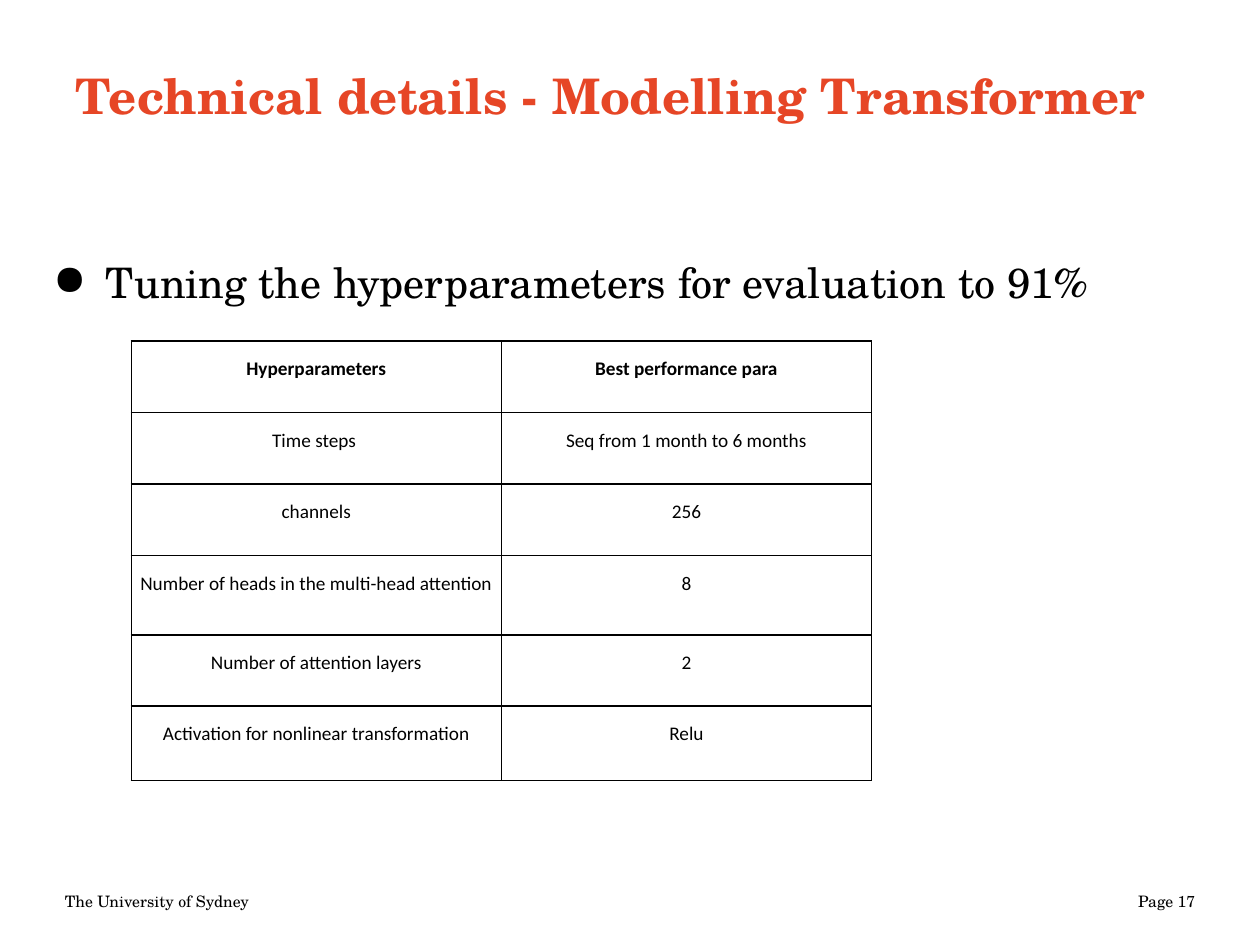
from lxml import etree
from pptx import Presentation
from pptx.dml.color import RGBColor
from pptx.enum.text import MSO_ANCHOR, PP_ALIGN
from pptx.oxml.ns import qn
from pptx.util import Pt

LEFT, CENTER, RIGHT = PP_ALIGN.LEFT, PP_ALIGN.CENTER, PP_ALIGN.RIGHT
TOP, MIDDLE = MSO_ANCHOR.TOP, MSO_ANCHOR.MIDDLE
SERIF, SANS = "TeX Gyre Schola", "Calibri"
BLACK, RED, WHITE = "000000", "E64626", "FFFFFF"

HYPERPARAMETERS = [
    ("Hyperparameters", "Best performance para"),
    ("Time steps ", "Seq from 1 month to 6 months"),
    ("channels", "256"),
    ("Number of heads in the multi-head attention", "8"),
    ("Number of attention layers", "2"),
    ("Activation for nonlinear transformation", "Relu"),
]
ROW_HEIGHTS = [40.8, 40.8, 40.8, 45.4, 40.8, 42.5]
COLUMN_WIDTH = 211.5


def rgb(color):
    return RGBColor.from_string(color)


def write(para, text, font=SERIF, size=9, color=BLACK, bold=False,
          align=LEFT, line_spacing=None):
    para.alignment = align
    para.line_spacing = line_spacing
    span = para.add_run()
    span.text = text
    span.font.name = font
    span.font.size = Pt(size)
    span.font.bold = bold
    span.font.color.rgb = rgb(color)


def add_text(page, left, top, width, height, text, anchor=MIDDLE, **text_format):
    """Add a wrapping text box and return its paragraph."""
    box = page.shapes.add_textbox(Pt(left), Pt(top), Pt(width), Pt(height))
    frame = box.text_frame
    frame.word_wrap = True
    frame.vertical_anchor = anchor
    para = frame.paragraphs[0]
    write(para, text, **text_format)
    return para


def add_bullet(para, symbol, color, margin, indent):
    properties = para._p.get_or_add_pPr()
    properties.set("marL", str(Pt(margin)))
    properties.set("indent", str(Pt(indent)))
    bullet_color = etree.SubElement(properties, qn("a:buClr"))
    etree.SubElement(bullet_color, qn("a:srgbClr"), val=color)
    etree.SubElement(properties, qn("a:buChar"), char=symbol)


def add_borders(cell, color, width):
    """Draw all four borders; they must precede the fill in the cell's XML."""
    properties = cell._tc.get_or_add_tcPr()
    for position, side in enumerate(("a:lnL", "a:lnR", "a:lnT", "a:lnB")):
        border = etree.Element(qn(side), w=str(Pt(width)))
        fill = etree.SubElement(border, qn("a:solidFill"))
        etree.SubElement(fill, qn("a:srgbClr"), val=color)
        properties.insert(position, border)


def format_cell(cell, text, bold):
    cell.margin_left = cell.margin_right = Pt(5)
    cell.margin_top = cell.margin_bottom = Pt(7.2)
    cell.fill.background()
    add_borders(cell, BLACK, 1)
    write(cell.text_frame.paragraphs[0], text, font=SANS, size=11, bold=bold,
          align=CENTER, line_spacing=1.15)


def add_hyperparameter_table(page, left, top):
    frame = page.shapes.add_table(
        len(HYPERPARAMETERS), 2, Pt(left), Pt(top),
        Pt(2 * COLUMN_WIDTH), Pt(sum(ROW_HEIGHTS)))
    table = frame.table
    table.horz_banding = False
    for column in table.columns:
        column.width = Pt(COLUMN_WIDTH)
    for index, (texts, height) in enumerate(zip(HYPERPARAMETERS, ROW_HEIGHTS)):
        row = table.rows[index]
        row.height = Pt(height)
        for cell, text in zip(row.cells, texts):
            format_cell(cell, text, bold=index == 0)


def main():
    deck = Presentation()
    deck.slide_width, deck.slide_height = Pt(720), Pt(540)
    page = deck.slides.add_slide(deck.slide_layouts[6])
    page.background.fill.solid()
    page.background.fill.fore_color.rgb = rgb(WHITE)

    add_text(page, 30, 500.4, 168, 28.8, "The University of Sydney")
    add_text(page, 522, 500.4, 168, 28.8, "Page 17", align=RIGHT)
    add_text(page, 36, 9.4, 648, 90, "Technical details - Modelling Transformer",
             size=28, color=RED, bold=True)
    tuning = add_text(page, 17.3, 139, 682, 401,
                      "Tuning the hyperparameters for evaluation to 91%",
                      anchor=TOP, size=24, line_spacing=1.15)
    add_bullet(tuning, "●", BLACK, margin=36, indent=-30)
    add_hyperparameter_table(page, 75, 195)

    deck.save("out.pptx")


if __name__ == "__main__":
    main()
